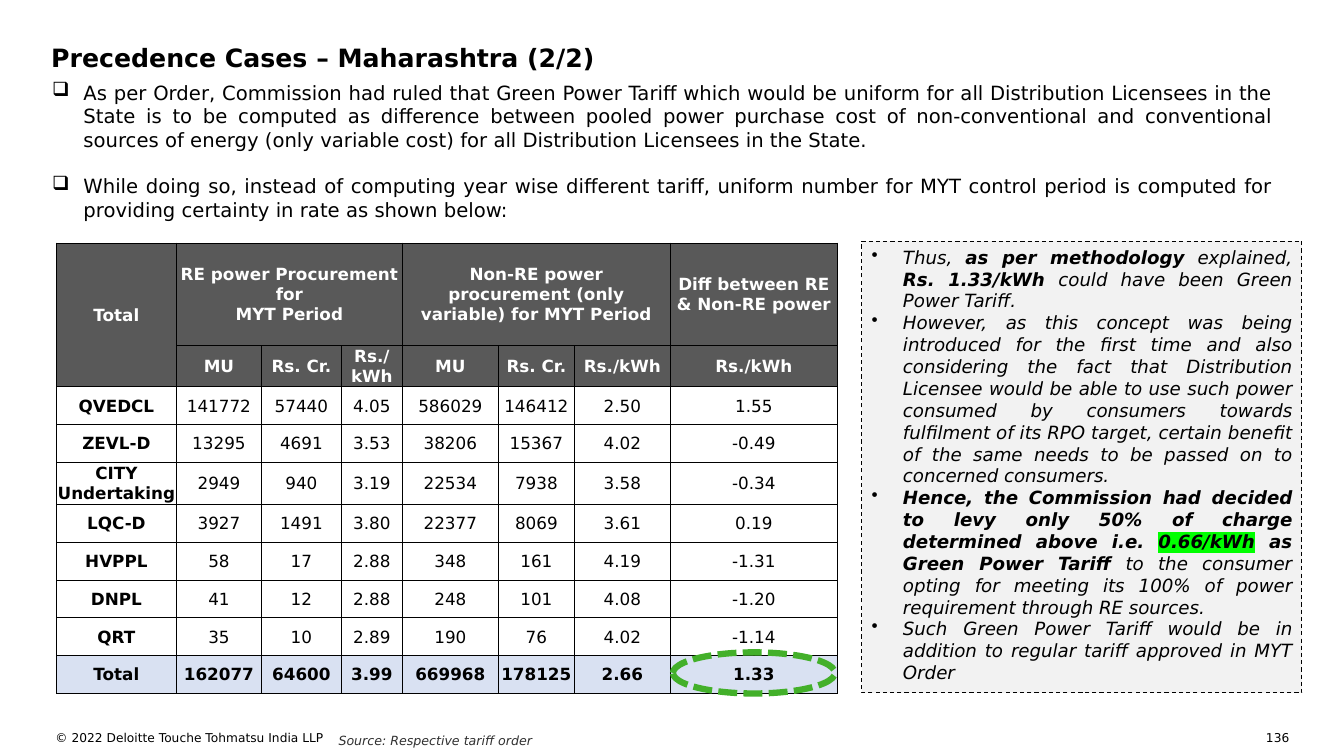
from collections import namedtuple

from lxml import etree
from pptx import Presentation
from pptx.dml.color import RGBColor
from pptx.enum.dml import MSO_LINE
from pptx.enum.shapes import MSO_SHAPE
from pptx.enum.text import MSO_ANCHOR, PP_ALIGN
from pptx.oxml.ns import qn
from pptx.util import Emu, Inches, Pt

RECTANGLE, OVAL = MSO_SHAPE.RECTANGLE, MSO_SHAPE.OVAL
DASH, SQUARE_DASH = MSO_LINE.DASH, MSO_LINE.SQUARE_DOT
TOP, MIDDLE = MSO_ANCHOR.TOP, MSO_ANCHOR.MIDDLE
LEFT, CENTER, RIGHT, JUSTIFY = PP_ALIGN.LEFT, PP_ALIGN.CENTER, PP_ALIGN.RIGHT, PP_ALIGN.JUSTIFY

FONT = "DejaVu Sans"
COLORS = {
    "text": "000000", "source": "313131", "header_text": "FFFFFF", "header": "595959",
    "total": "D9E1F2", "panel": "F2F2F2", "ring": "43B02A", "highlight": "00FF00",
}
WIDTH, HEIGHT = Inches(13.333), Inches(7.5)
GRID_COLUMNS, GRID_ROWS = 160, 90
Box = namedtuple("Box", "left top width height")

COLUMN_WIDTHS = [14.29, 10.12, 9.52, 7.26, 11.43, 9.05, 11.43, 19.88]
HEADER_HEIGHT, ROW_HEIGHT, RING_HEIGHT, RING_INSET = 12.2, 4.52, 4.9, 0.3
TARIFF_ROWS = [
    ["Total", "RE power Procurement for\nMYT Period", "", "",
     "Non-RE power\nprocurement (only\nvariable) for MYT Period", "", "",
     "Diff between RE & Non-RE power"],
    ["", "MU", "Rs. Cr.", "Rs./kWh", "MU", "Rs. Cr.", "Rs./kWh", "Rs./kWh"],
    ["QVEDCL", "141772", "57440", "4.05", "586029", "146412", "2.50", "1.55"],
    ["ZEVL-D", "13295", "4691", "3.53", "38206", "15367", "4.02", "-0.49"],
    ["CITY Undertaking", "2949", "940", "3.19", "22534", "7938", "3.58", "-0.34"],
    ["LQC-D", "3927", "1491", "3.80", "22377", "8069", "3.61", "0.19"],
    ["HVPPL", "58", "17", "2.88", "348", "161", "4.19", "-1.31"],
    ["DNPL", "41", "12", "2.88", "248", "101", "4.08", "-1.20"],
    ["QRT", "35", "10", "2.89", "190", "76", "4.02", "-1.14"],
    ["Total", "162077", "64600", "3.99", "669968", "178125", "2.66", "1.33"],
]
ORDER_POINTS = [
    [("As per Order, Commission had ruled that Green Power Tariff which would be uniform for all "
      "Distribution Licensees in the State is to be computed as difference between pooled power "
      "purchase cost of non-conventional and conventional sources of energy (only variable cost) "
      "for all Distribution Licensees in the State.", "")],
    [("While doing so, instead of computing year wise different tariff, uniform number for MYT "
      "control period is computed for providing certainty in rate as shown below:", "")],
]
# Each run is its text and its marks: b for bold, h for highlighted.
FINDINGS = [
    [("Thus, ", ""), ("as per methodology", "b"), (" explained, ", ""),
     ("Rs. 1.33/kWh ", "b"), ("could have been Green Power Tariff.", "")],
    [("However, as this concept was being introduced for the first time and also considering the "
      "fact that Distribution Licensee would be able to use such power consumed by consumers "
      "towards fulfilment of its RPO target, certain benefit of the same needs to be passed on "
      "to concerned consumers.", "")],
    [("Hence, the Commission had decided to levy only 50% of charge determined above i.e. ", "b"),
     ("0.66/kWh", "bh"), (" as Green Power Tariff ", "b"),
     ("to the consumer opting for meeting its 100% of power requirement through RE sources.", "")],
    [("Such Green Power Tariff would be in addition to regular tariff approved in MYT Order", "")],
]


def rgb(name):
    return RGBColor.from_string(COLORS[name])


def across(columns):
    return Emu(round(WIDTH * columns / GRID_COLUMNS))


def down(rows):
    return Emu(round(HEIGHT * rows / GRID_ROWS))


def place(box):
    return across(box.left), down(box.top), across(box.width), down(box.height)


def add_run(paragraph, text, size, color="text", marks="", italic=False):
    run = paragraph.add_run()
    run.text = text
    font = run.font
    font.name, font.size = FONT, Pt(size)
    font.bold, font.italic = "b" in marks, italic
    font.color.rgb = rgb(color)
    if "h" in marks:
        highlight = etree.Element(qn("a:highlight"))
        etree.SubElement(highlight, qn("a:srgbClr"), val=COLORS["highlight"])
        run.font._element.find(qn("a:solidFill")).addnext(highlight)


def add_label(slide, box, text, size, align=LEFT, anchor=TOP, **style):
    frame = slide.shapes.add_textbox(*place(box)).text_frame
    frame.word_wrap, frame.vertical_anchor = True, anchor
    frame.margin_left = frame.margin_right = frame.margin_top = frame.margin_bottom = 0
    paragraph = frame.paragraphs[0]
    paragraph.alignment = align
    add_run(paragraph, text, size, **style)
    return paragraph


def fill_bullets(frame, points, bullet, size, gap=0, italic=False):
    frame.word_wrap, frame.vertical_anchor = True, TOP
    for index, runs in enumerate(points):
        paragraph = frame.add_paragraph() if index else frame.paragraphs[0]
        properties = paragraph._p.get_or_add_pPr()
        indent = Inches(0.31)
        properties.set("marL", str(indent))
        properties.set("indent", str(-indent))
        etree.SubElement(properties, qn("a:buChar"), char=bullet)
        paragraph.alignment = JUSTIFY
        if index and gap:
            paragraph.space_before = Pt(gap)
        for text, marks in runs:
            add_run(paragraph, text, size, marks=marks, italic=italic)


def add_heading(slide, box):
    title = add_label(slide, box, "Precedence Cases – Maharashtra (2/2)", 18,
                      anchor=MIDDLE, marks="b")
    title.line_spacing = 1.07


def add_order_points(slide, box):
    frame = slide.shapes.add_textbox(*place(box)).text_frame
    fill_bullets(frame, ORDER_POINTS, "❑", 14, gap=16.3)


def add_findings_panel(slide, box):
    panel = slide.shapes.add_shape(RECTANGLE, *place(box))
    panel.shadow.inherit = False
    panel.fill.solid()
    panel.fill.fore_color.rgb = rgb("panel")
    panel.line.color.rgb = rgb("text")
    panel.line.width, panel.line.dash_style = Pt(0.75), DASH
    fill_bullets(panel.text_frame, FINDINGS, "•", 13, italic=True)


def draw_borders(cell):
    properties = cell._tc.get_or_add_tcPr()
    for side in ("a:lnL", "a:lnR", "a:lnT", "a:lnB"):
        edge = etree.SubElement(properties, qn(side), w=str(Pt(0.5)))
        fill = etree.SubElement(edge, qn("a:solidFill"))
        etree.SubElement(fill, qn("a:srgbClr"), val=COLORS["text"])


def fill_cell(cell, text, fill, color, bold):
    draw_borders(cell)
    if fill:
        cell.fill.solid()
        cell.fill.fore_color.rgb = rgb(fill)
    else:
        cell.fill.background()
    cell.vertical_anchor = MIDDLE
    cell.margin_left = cell.margin_right = cell.margin_top = Inches(0.01)
    cell.margin_bottom = 0
    paragraph = cell.text_frame.paragraphs[0]
    paragraph.alignment = CENTER
    for index, line in enumerate(text.split("\n") if text else []):
        if index:
            paragraph.add_line_break()
        add_run(paragraph, line, 12, color, "b" if bold else "")


def add_tariff_table(slide, box):
    """Place the table and the ring around its overall difference."""
    last = len(TARIFF_ROWS) - 1
    table = slide.shapes.add_table(len(TARIFF_ROWS), len(COLUMN_WIDTHS), *place(box)).table
    table.first_row = table.horz_banding = False
    for column, width in zip(table.columns, COLUMN_WIDTHS):
        column.width = across(width)
    for r, values in enumerate(TARIFF_ROWS):
        table.rows[r].height = down(ROW_HEIGHT if r else HEADER_HEIGHT)
        fill = "header" if r < 2 else "total" if r == last else None
        color = "header_text" if r < 2 else "text"
        for c, value in enumerate(values):
            fill_cell(table.cell(r, c), value, fill, color, bold=bool(fill) or c == 0)
    table.cell(0, 0).merge(table.cell(1, 0))
    for first in (1, 4):
        table.cell(0, first).merge(table.cell(0, first + 2))

    ring_box = Box(box.left + sum(COLUMN_WIDTHS[:-1]) + RING_INSET,
                   box.top + box.height - RING_HEIGHT,
                   COLUMN_WIDTHS[-1] - 2 * RING_INSET, RING_HEIGHT)
    ring = slide.shapes.add_shape(OVAL, *place(ring_box))
    ring.shadow.inherit = False
    ring.fill.background()
    ring.line.color.rgb = rgb("ring")
    ring.line.width, ring.line.dash_style = Pt(4.5), SQUARE_DASH


def add_footer(slide, box):
    add_label(slide, box._replace(width=70.3), "© 2022 Deloitte Touche Tohmatsu India LLP", 8.7)
    add_label(slide, box._replace(left=box.left + 33.7, top=box.top + 0.24, width=108.1),
              "Source: Respective tariff order", 9, color="source", italic=True)
    number_width = 4.1
    add_label(slide, box._replace(left=box.left + box.width - number_width, width=number_width),
              "136", 8.7, align=RIGHT)


def main():
    deck = Presentation()
    deck.slide_width, deck.slide_height = WIDTH, HEIGHT
    slide = deck.slides.add_slide(deck.slide_layouts[6])
    add_footer(slide, Box(6.6, 87, 146.9, 1.8))
    add_heading(slide, Box(6.1, 4.56, 147.7, 4.4))
    add_order_points(slide, Box(5.04, 9, 147.7, 18.1))
    add_findings_panel(slide, Box(102.6, 28.7, 52.4, 53.8))
    add_tariff_table(slide, Box(6.72, 28.92, sum(COLUMN_WIDTHS), 53.64))
    deck.save("out.pptx")


if __name__ == "__main__":
    main()
